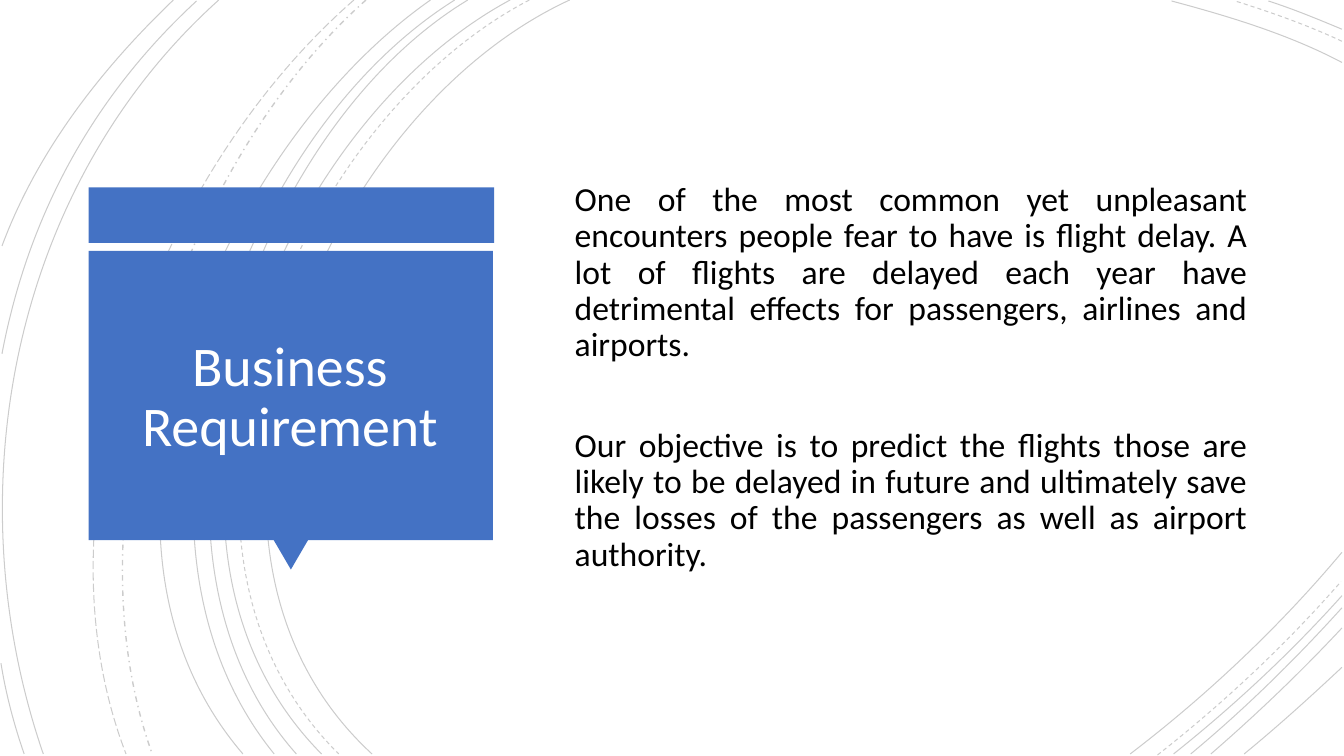
from pptx import Presentation, util as u
from pptx.dml.color import RGBColor
from pptx.enum import dml, shapes, text
from pptx.oxml import parse_xml
from pptx.oxml.ns import qn

# Grid of 1333 columns by 750 rows
COLS, ROWS = 1333, 750
CELL = u.Inches(0.01)
BLUE, BLACK, WHITE = "4472C4", "000000", "FFFFFF"
NS = "http://schemas.openxmlformats.org/drawingml/2006/main"


def paint(color, hue):
    color.rgb = RGBColor.from_string(hue)


def place(shape, left, top, wide, high):
    spots = {"left": left, "top": top, "width": wide, "height": high}
    for name, value in spots.items():
        setattr(shape, name, value * CELL)


deck = Presentation()
deck.slide_width, deck.slide_height = COLS * CELL, ROWS * CELL
slide = deck.slides.add_slide(deck.slide_layouts[1])
tree = slide.shapes

# Background arcs: start, two control points, end, by dash style
DASH = dml.MSO_LINE
arcs = {
    DASH.SOLID: [
        (565, 0, 315, 115, 143, 540, 369, 748),
        (1331, 62, 1278, 34, 1218, 16, 1162, 1),
        (1121, 748, 1197, 690, 1269, 622, 1331, 548),
        (506, 0, 270, 127, 110, 537, 319, 748),
        (1331, 29, 1307, 19, 1283, 9, 1258, 1),
        (1164, 748, 1223, 701, 1280, 648, 1331, 591),
        (464, 0, 244, 133, 110, 541, 294, 748),
        (1181, 748, 1234, 704, 1284, 655, 1331, 603),
        (451, 0, 231, 138, 97, 533, 272, 748),
        (1201, 748, 1246, 709, 1290, 667, 1331, 623),
        (427, 0, 217, 147, 53, 529, 241, 748),
        (1234, 748, 1267, 721, 1299, 692, 1331, 662),
        (217, 0, 11, 185, -46, 490, 43, 748),
        (195, 1, 92, 96, 28, 214, 2, 351),
        (1, 658, 6, 689, 14, 719, 24, 748),
        (172, 0, 100, 69, 37, 150, 2, 244),
    ],
    DASH.DASH: [
        (525, 0, 285, 125, 123, 537, 336, 748),
        (1331, 41, 1297, 25, 1260, 12, 1225, 1),
        (1148, 749, 1213, 698, 1275, 640, 1330, 577),
    ],
    DASH.DASH_DOT: [(363, 0, 176, 166, 65, 509, 151, 748)],
    DASH.LONG_DASH: [(351, 0, 157, 169, 29, 499, 125, 748)],
}
for dash, group in arcs.items():
    for arc in group:
        dots = list(zip(arc[::2], arc[1::2]))
        pen = tree.build_freeform(*dots[0], scale=CELL)
        pen.add_line_segments(dots[1:], close=False)
        curve = pen.convert_to_shape()
        # Join the three segments into one cubic curve
        legs = list(curve._element.iter(qn("a:lnTo")))
        bend = parse_xml(f'<a:cubicBezTo xmlns:a="{NS}"/>')
        legs[0].addprevious(bend)
        for leg in legs:
            bend.append(leg[0])
            leg.getparent().remove(leg)
        curve.shadow.inherit = False
        curve.fill.background()
        paint(curve.line.color, BLACK)
        curve.line.width = u.Pt(1 if dash == DASH.DASH_DOT else 0.75)
        curve.line.dash_style = dash
        # 20 % opacity
        tint = next(curve.line._ln.iter(qn("a:srgbClr")))
        tint.append(parse_xml(f'<a:alpha xmlns:a="{NS}" val="20000"/>'))

# Blue title card: band, pointer, panel
KIND = shapes.MSO_SHAPE
card = [
    (KIND.RECTANGLE, (88, 186, 402, 55), 0),
    (KIND.ISOSCELES_TRIANGLE, (271, 535, 35, 30), 180),
    (KIND.RECTANGLE, (88, 249, 401, 287), 0),
]
for kind, spot, turn in card:
    block = tree.add_shape(kind, 0, 0, CELL, CELL)
    place(block, *spot)
    block.rotation = turn
    block.shadow.inherit = False
    block.fill.solid()
    paint(block.fill.fore_color, BLUE)
    block.line.fill.background()

# Title and body text, in front of the card
ALIGN = text.PP_ALIGN
words = [
    (tree.title, (99, 264, 377, 262), 40, WHITE, ALIGN.CENTER,
     [("Business Requirement", 0)]),
    (slide.placeholders[1], (560, 88, 687, 574), 24, BLACK, ALIGN.JUSTIFY,
     [("One of the most common yet unpleasant encounters people fear to have "
       "is flight delay. A lot of flights are delayed each year have "
       "detrimental effects for passengers, airlines and airports.", 10),
      ("Our objective is to predict the flights those are likely to be delayed "
       "in future and ultimately save the losses of the passengers as well as "
       "airport authority.", 46)]),
]
for holder, spot, size, hue, align, lines in words:
    tree._spTree.append(holder._element)
    place(holder, *spot)
    frame = holder.text_frame
    frame.text = "\n".join(line for line, gap in lines)
    look = {"word_wrap": True, "auto_size": text.MSO_AUTO_SIZE.NONE,
            "vertical_anchor": text.MSO_ANCHOR.MIDDLE}
    for name, value in look.items():
        setattr(frame, name, value)
    for para, (line, gap) in zip(frame.paragraphs, lines):
        form = {"alignment": align, "line_spacing": 0.9, "space_before": u.Pt(gap)}
        for name, value in form.items():
            setattr(para, name, value)
        # No bullet, no indent
        props = para._p.get_or_add_pPr()
        props.set("marL", "0")
        props.set("indent", "0")
        props.append(parse_xml(f'<a:buNone xmlns:a="{NS}"/>'))
        font = para.runs[0].font
        font.name, font.size = "Calibri", u.Pt(size)
        paint(font.color, hue)

deck.save("out.pptx")
